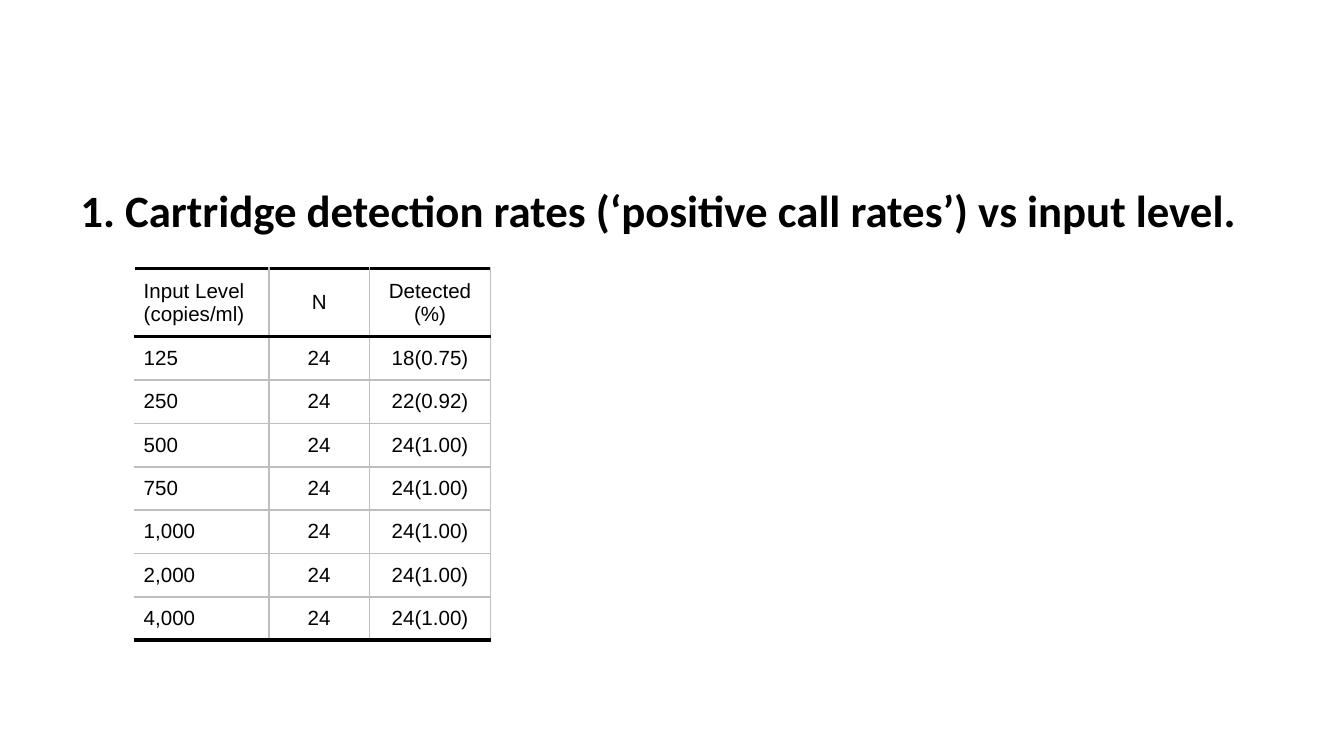
from pptx import Presentation
from pptx.dml.color import RGBColor
from pptx.enum import text as t
from pptx.oxml import ns, xmlchemy as x
from pptx.util import Pt

HUES = {"ink": "000000", "rule": "BEBEBE"}
HEAD = ["Input Level (copies/ml)", "N", "Detected (%)"]
RATES = [
    ("125", "18(0.75)"),
    ("250", "22(0.92)"),
    ("500", "24(1.00)"),
    ("750", "24(1.00)"),
    ("1,000", "24(1.00)"),
    ("2,000", "24(1.00)"),
    ("4,000", "24(1.00)"),
]
WIDTHS = [72, 54, 64.8]
TITLE = {"name": "Calibri", "size": Pt(24), "bold": True}
BODY = {"name": "Arial", "size": Pt(11), "bold": False}
GAPS = {"space_before": Pt(5), "space_after": Pt(5)}
INSET = {
    "margin_left": 0,
    "margin_top": Pt(5),
    "margin_right": 0,
    "margin_bottom": Pt(5),
    "vertical_anchor": t.MSO_ANCHOR.MIDDLE,
}


def apply(item, form):
    for key, val in form.items():
        setattr(item, key, val)


def write(para, words, font, form):
    run = para.add_run()
    run.text = words
    apply(run.font, font)
    run.font.color.rgb = RGBColor.from_string(HUES["ink"])
    apply(para, form)


def edge(cell, side, hue, width):
    line = x.OxmlElement(f"a:ln{side}")
    line.set("w", str(Pt(width)))
    fill = x.OxmlElement("a:solidFill")
    tint = x.OxmlElement("a:srgbClr")
    tint.set("val", HUES[hue])
    fill.append(tint)
    line.append(fill)
    cell._tc.get_or_add_tcPr().append(line)


def border(cell, row, col, last):
    if col:
        edge(cell, "L", "rule", 1)
    edge(cell, "R", "rule", 1)
    for side, heavy in (("T", row < 2), ("B", row in (0, last))):
        edge(cell, side, *(("ink", 2) if heavy else ("rule", 1)))


def title(slide, box):
    frame = slide.shapes.add_textbox(*map(Pt, box)).text_frame
    frame.word_wrap = True
    write(
        frame.paragraphs[0],
        "1. Cartridge detection rates (‘positive call rates’) vs input level.",
        TITLE,
        {"space_before": Pt(30)},
    )


def table(slide, box):
    rows = [HEAD] + [(level, "24", rate) for level, rate in RATES]
    grid = slide.shapes.add_table(len(rows), len(HEAD), *map(Pt, box)).table
    apply(grid, {"first_row": False, "horz_banding": False})
    for col, width in zip(grid.columns, WIDTHS):
        col.width = Pt(width)
    for i, row in enumerate(rows):
        for j, words in enumerate(row):
            cell = grid.cell(i, j)
            apply(cell, INSET)
            border(cell, i, j, len(rows) - 1)
            cell.fill.background()
            para = cell.text_frame.paragraphs[0]
            side = t.PP_ALIGN.CENTER if j else t.PP_ALIGN.LEFT
            write(para, words, BODY, {**GAPS, "alignment": side})
            props = para._p.get_or_add_pPr()
            for key in ("marL", "marR"):
                props.set(key, str(Pt(5)))
            props.set("indent", "0")


def main():
    deck = Presentation()
    apply(deck, {"slide_width": Pt(720), "slide_height": Pt(405)})
    slide = deck.slides.add_slide(deck.slide_layouts[6])
    title(slide, (36, 94.5, 648, 267))
    table(slide, (72, 144, sum(WIDTHS), 18 * (len(RATES) + 1)))
    deck.save("out.pptx")


if __name__ == "__main__":
    main()
